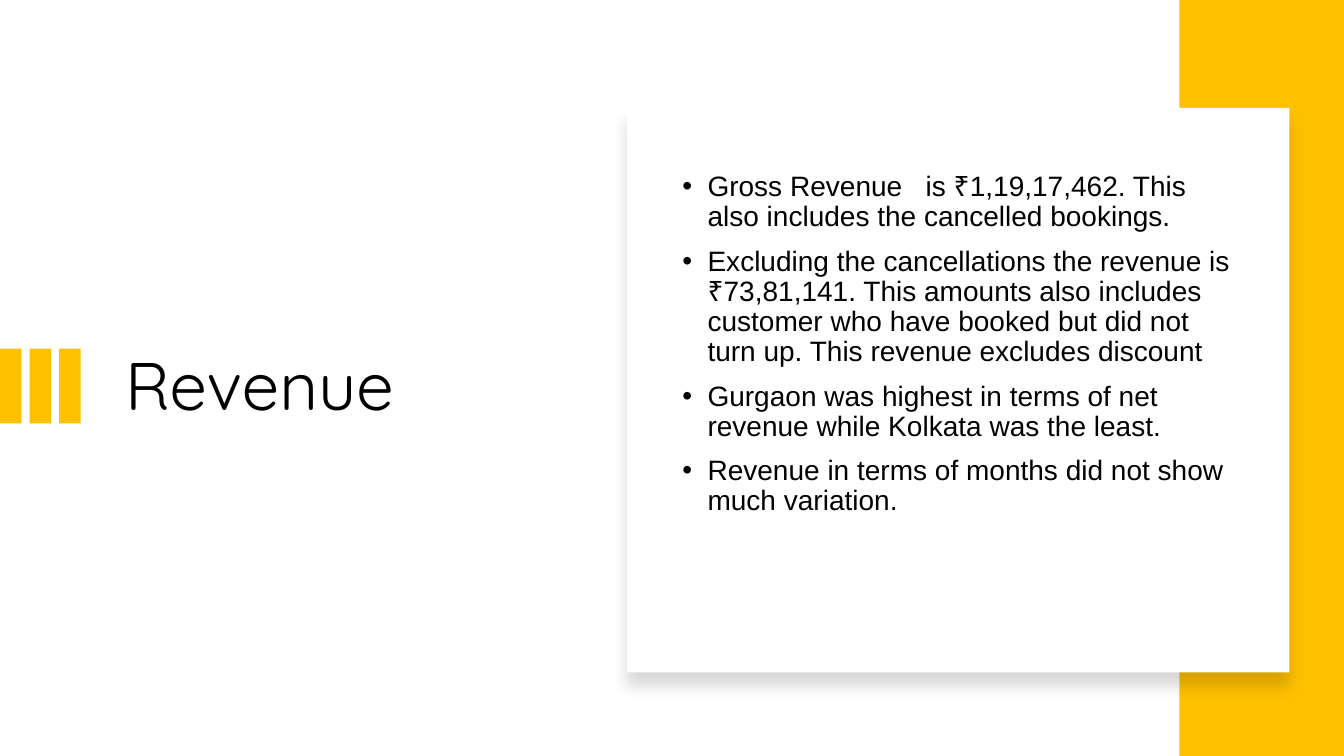
from dataclasses import dataclass

from lxml.etree import SubElement
from pptx import Presentation
from pptx.dml.color import RGBColor
from pptx.enum.shapes import MSO_SHAPE
from pptx.enum.text import MSO_ANCHOR, PP_ALIGN
from pptx.oxml.ns import qn
from pptx.shapes.autoshape import Shape
from pptx.slide import Slide
from pptx.text.text import TextFrame, _Paragraph
from pptx.util import Inches, Pt

COLORS = {"accent": "FFC000", "panel": "FFFFFF", "text": "000000", "shadow": "000000"}
SLIDE_WIDTH = Inches(13.33)
SLIDE_HEIGHT = Inches(7.5)


@dataclass(frozen=True)
class Area:
    """A rectangle in percent of the slide's width and height."""

    left: float
    top: float
    width: float
    height: float

    def box(self) -> tuple[int, int, int, int]:
        return (
            round(SLIDE_WIDTH * self.left / 100),
            round(SLIDE_HEIGHT * self.top / 100),
            round(SLIDE_WIDTH * self.width / 100),
            round(SLIDE_HEIGHT * self.height / 100),
        )


@dataclass(frozen=True)
class Piece:
    text: str
    tracking: float = 0


@dataclass(frozen=True)
class TextStyle:
    font: str
    size: float


TITLE_STYLE = TextStyle("Quicksand", 48)
BODY_STYLE = TextStyle("Arial", 20)

TITLE_AREA = Area(8.55, 19.47, 31.95, 63.87)
BODY_AREA = Area(50.03, 19.47, 43.13, 63.87)
SIDE_BAND = Area(87.75, 0, 12.25, 100)
PANEL = Area(46.65, 14.27, 49.28, 74.67)
BAR_STRIP = Area(0, 46.13, 6, 9.87)
BAR_COUNT = 3
BAR_WIDTH = 1.6

BULLETS = [
    [
        Piece("Gross Revenue"),
        Piece(" ", tracking=11),
        Piece("is ₹1,19,17,462. This also includes the cancelled bookings."),
    ],
    [
        Piece(
            "Excluding the cancellations the revenue is ₹73,81,141. This amounts also "
            "includes customer who have booked but did not turn up. "
            "This revenue excludes discount"
        )
    ],
    [Piece("Gurgaon was highest in terms of net revenue while Kolkata was the least.")],
    [Piece("Revenue in terms of months did not show much variation.")],
]


def color(name: str) -> RGBColor:
    return RGBColor.from_string(COLORS[name])


def add_rectangle(slide: Slide, area: Area, fill: str) -> Shape:
    shape = slide.shapes.add_shape(MSO_SHAPE.RECTANGLE, *area.box())
    shape.shadow.inherit = False
    shape.fill.solid()
    shape.fill.fore_color.rgb = color(fill)
    shape.line.fill.background()
    return shape


def add_bars(slide: Slide) -> None:
    pitch = (BAR_STRIP.width - BAR_WIDTH) / (BAR_COUNT - 1)
    for index in range(BAR_COUNT):
        left = BAR_STRIP.left + index * pitch
        add_rectangle(slide, Area(left, BAR_STRIP.top, BAR_WIDTH, BAR_STRIP.height), "accent")


def add_drop_shadow(shape: Shape) -> None:
    effects = shape.element.spPr.find(qn("a:effectLst"))
    shadow = SubElement(
        effects,
        qn("a:outerShdw"),
        blurRad=str(Pt(11)),
        dist=str(Pt(10)),
        dir=str(90 * 60000),
        algn="t",
        rotWithShape="0",
    )
    shadow_color = SubElement(shadow, qn("a:srgbClr"), val=COLORS["shadow"])
    SubElement(shadow_color, qn("a:alpha"), val="15000")


def add_run(paragraph: _Paragraph, piece: Piece, style: TextStyle) -> None:
    run = paragraph.add_run()
    run.text = piece.text
    run.font.name = style.font
    run.font.size = Pt(style.size)
    run.font.color.rgb = color("text")
    if piece.tracking:
        run.font._element.set("spc", str(round(piece.tracking * 100)))


def format_frame(frame: TextFrame) -> None:
    frame.word_wrap = True
    frame.vertical_anchor = MSO_ANCHOR.MIDDLE


def format_paragraph(paragraph: _Paragraph) -> None:
    paragraph.alignment = PP_ALIGN.LEFT
    paragraph.line_spacing = 0.9


def set_bullet(paragraph: _Paragraph) -> None:
    properties = paragraph._p.get_or_add_pPr()
    properties.set("marL", str(Inches(0.25)))
    properties.set("indent", str(-Inches(0.25)))
    SubElement(properties, qn("a:buFont"), typeface="Arial")
    SubElement(properties, qn("a:buChar"), char="•")


def fill_title(slide: Slide) -> None:
    title = slide.shapes.title
    title.left, title.top, title.width, title.height = TITLE_AREA.box()
    format_frame(title.text_frame)
    paragraph = title.text_frame.paragraphs[0]
    format_paragraph(paragraph)
    add_run(paragraph, Piece("Revenue"), TITLE_STYLE)


def add_body(slide: Slide) -> None:
    frame = slide.shapes.add_textbox(*BODY_AREA.box()).text_frame
    format_frame(frame)
    frame.margin_bottom = Inches(0.92)
    for index, pieces in enumerate(BULLETS):
        paragraph = frame.add_paragraph() if index else frame.paragraphs[0]
        format_paragraph(paragraph)
        paragraph.space_before = Pt(10)
        set_bullet(paragraph)
        for piece in pieces:
            add_run(paragraph, piece, BODY_STYLE)


def main() -> None:
    presentation = Presentation()
    presentation.slide_width = SLIDE_WIDTH
    presentation.slide_height = SLIDE_HEIGHT
    slide = presentation.slides.add_slide(presentation.slide_layouts[5])
    fill_title(slide)
    add_bars(slide)
    add_rectangle(slide, SIDE_BAND, "accent")
    add_drop_shadow(add_rectangle(slide, PANEL, "panel"))
    add_body(slide)
    presentation.save("out.pptx")


main()
